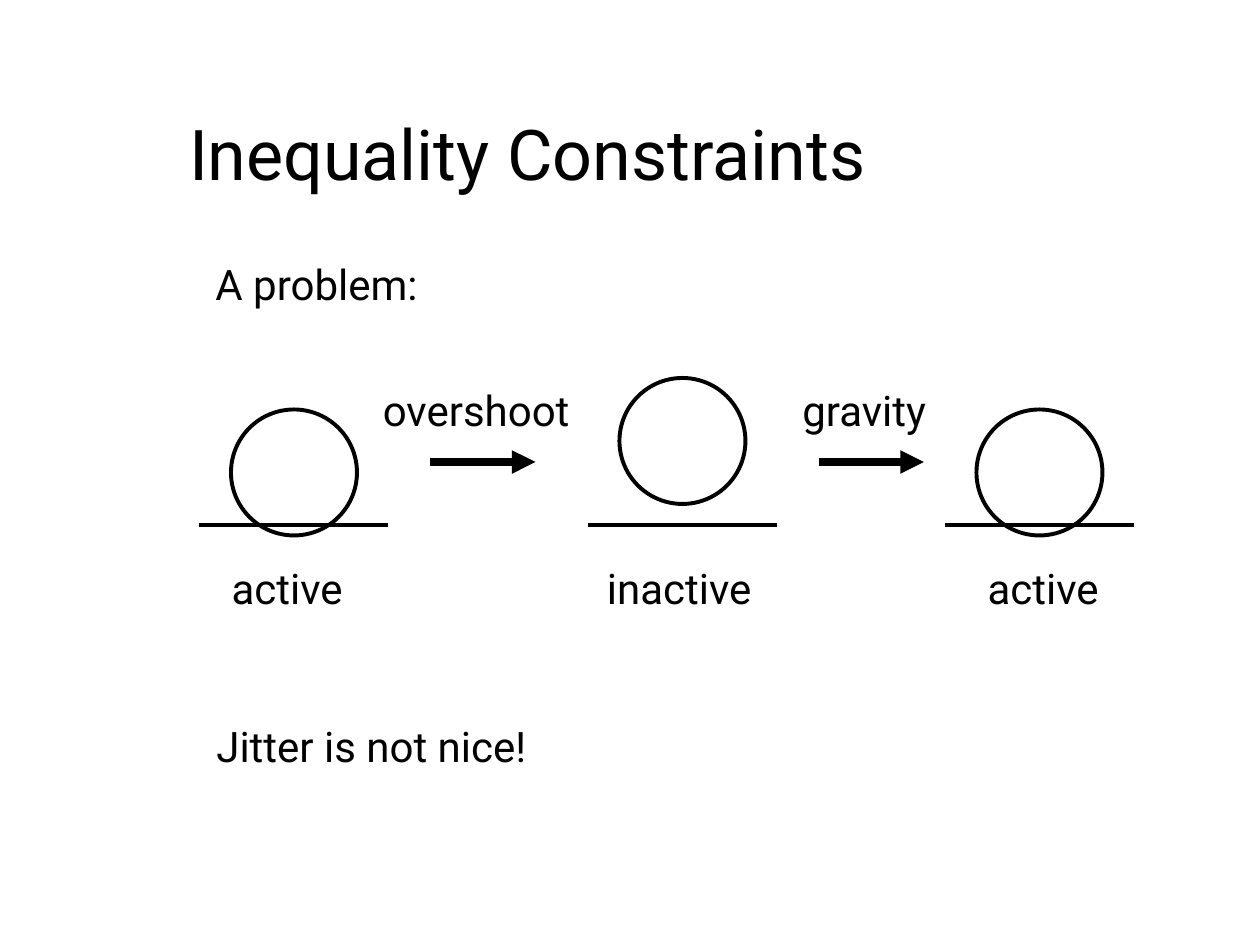
from lxml.etree import SubElement
from pptx import Presentation
from pptx.dml.color import RGBColor
from pptx.enum.shapes import MSO_CONNECTOR, MSO_SHAPE
from pptx.enum.text import MSO_ANCHOR, MSO_AUTO_SIZE, PP_ALIGN
from pptx.oxml.ns import qn
from pptx.util import Pt

COLORS = {"ink": "000000", "paper": "FFFFFF"}


class JitterSlide:
    font_name = "Roboto"
    title_size, body_size = 40, 24
    outline, arrow_weight = 2.25, 4.5
    ball_size, ground_length, arrow_length = 72, 108, 60

    def __init__(self, presentation):
        self.slide = presentation.slides.add_slide(presentation.slide_layouts[5])
        fill = self.slide.background.fill
        fill.solid()
        fill.fore_color.rgb = self.color("paper")

    def color(self, name):
        return RGBColor.from_string(COLORS[name])

    def set_text(self, frame, text, size):
        frame.text = text
        paragraph = frame.paragraphs[0]
        paragraph.alignment = PP_ALIGN.LEFT
        paragraph.font.name = self.font_name
        paragraph.font.size = Pt(size)
        paragraph.font.color.rgb = self.color("ink")

    def title(self, text, left, top, width, height):
        title = self.slide.shapes.title
        title.left, title.top = Pt(left), Pt(top)
        title.width, title.height = Pt(width), Pt(height)
        title.text_frame.vertical_anchor = MSO_ANCHOR.MIDDLE
        self.set_text(title.text_frame, text, self.title_size)

    def label(self, text, left, top, width):
        box = self.slide.shapes.add_textbox(Pt(left), Pt(top), Pt(width), Pt(36))
        box.text_frame.word_wrap = False
        box.text_frame.auto_size = MSO_AUTO_SIZE.SHAPE_TO_FIT_TEXT
        self.set_text(box.text_frame, text, self.body_size)

    def line(self, left, y, length, weight):
        line = self.slide.shapes.add_connector(
            MSO_CONNECTOR.STRAIGHT, Pt(left), Pt(y), Pt(left + length), Pt(y))
        line.line.color.rgb = self.color("ink")
        line.line.width = Pt(weight)
        SubElement(line._element.spPr, qn("a:effectLst"))
        return line

    def ground(self, left, y):
        self.line(left, y, self.ground_length, self.outline)

    def arrow(self, left, y):
        arrow = self.line(left, y, self.arrow_length, self.arrow_weight)
        outline = arrow._element.spPr.find(qn("a:ln"))
        SubElement(outline, qn("a:tailEnd"), type="triangle")

    def ball(self, left, top):
        ball = self.slide.shapes.add_shape(
            MSO_SHAPE.OVAL, Pt(left), Pt(top), Pt(self.ball_size), Pt(self.ball_size))
        ball.shadow.inherit = False
        ball.fill.background()
        ball.line.color.rgb = self.color("ink")
        ball.line.width = Pt(self.outline)


def main():
    presentation = Presentation()
    presentation.slide_width, presentation.slide_height = Pt(720), Pt(540)
    slide = JitterSlide(presentation)

    # Title and opening statement
    slide.title("Inequality Constraints", 100.8, 30, 558, 114)
    slide.label("A problem:", 116, 144, 138.2)

    # Ball states: ground left, ball top, label, label left, label width
    states = [
        (114, 234, "active", 125.3, 79.9),
        (336, 216, "inactive", 339.8, 100.8),
        (540, 234, "active", 557.3, 79.9),
    ]
    for ground_left, ball_top, state, label_left, label_width in states:
        slide.ground(ground_left, 300)
        slide.ball(ground_left + (slide.ground_length - slide.ball_size) / 2, ball_top)
        slide.label(state, label_left, 318, label_width)

    # Transitions: arrow left, label, label left, label width
    transitions = [
        (246, "overshoot", 211.7, 128.2),
        (468, "gravity", 451.4, 91.4),
    ]
    for arrow_left, cause, label_left, label_width in transitions:
        slide.arrow(arrow_left, 264)
        slide.label(cause, label_left, 216, label_width)

    # Conclusion
    slide.label("Jitter is not nice!", 116.6, 408, 194.4)

    presentation.save("out.pptx")


if __name__ == "__main__":
    main()
